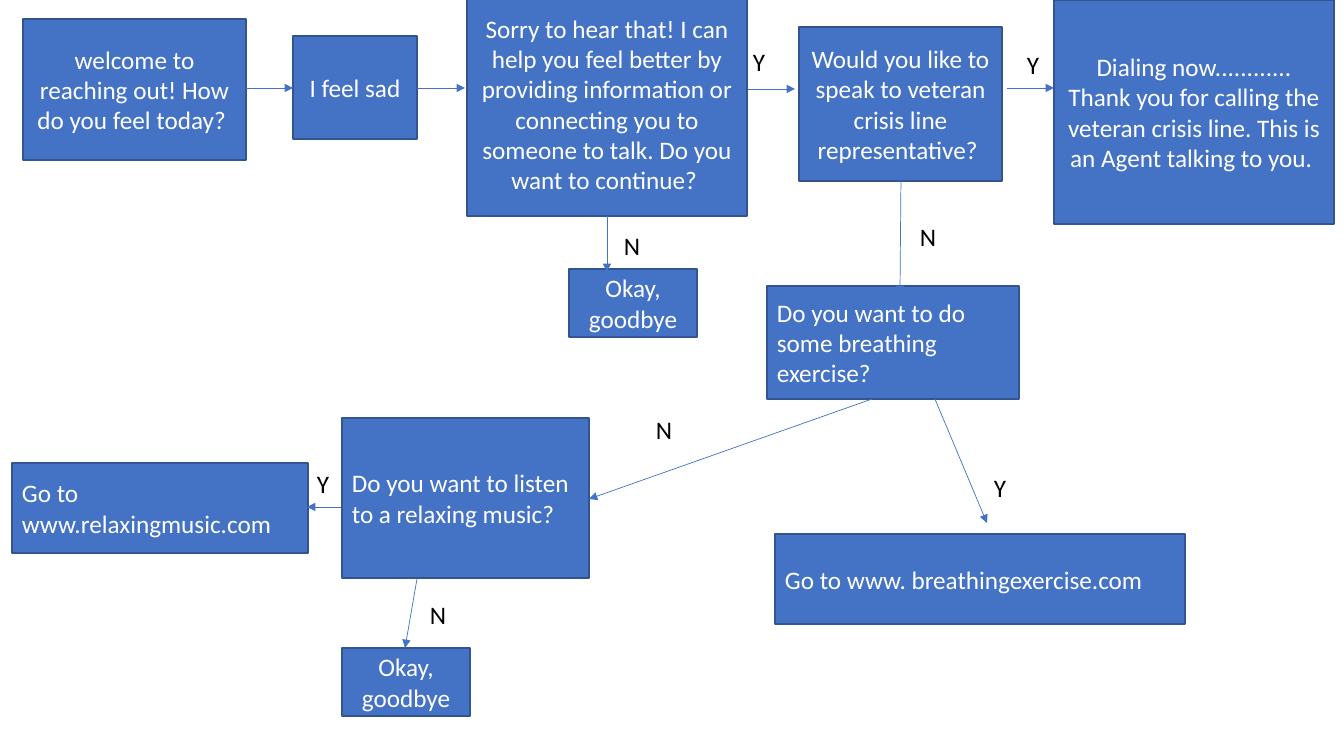
from pptx import Presentation
from pptx.dml.color import RGBColor
from pptx.enum.shapes import MSO_CONNECTOR, MSO_SHAPE
from pptx.enum.text import MSO_ANCHOR, MSO_AUTO_SIZE, PP_ALIGN
from pptx.oxml.ns import qn
from pptx.util import Pt
from lxml.etree import SubElement

BLUE = RGBColor(0x44, 0x72, 0xC4)
EDGE = RGBColor(0x32, 0x54, 0x91)
WHITE = RGBColor(255, 255, 255)
BLACK = RGBColor(0, 0, 0)
CENTER, LEFT = PP_ALIGN.CENTER, PP_ALIGN.LEFT
SCALE = 12192000 / 1344  # EMU per pixel

# Content: steps as (text, alignment, (left, top, width, height))
GOODBYE = "Okay, goodbye"
STEPS = [
    ("welcome to reaching out! How do you feel today? ", CENTER, (23, 19, 223, 141)),
    ("I feel sad", CENTER, (293, 36, 124, 103)),
    ("Sorry to hear that! I can help you feel better by providing information "
     "or connecting you to someone to talk. Do you want to continue? ",
     CENTER, (467, -8, 280, 224)),
    ("Would you like to speak to veteran crisis line representative? ",
     CENTER, (799, 27, 203, 154)),
    ("Dialing now............ Thank you for calling the veteran crisis line. "
     "This is an Agent talking to you. ", CENTER, (1054, 0, 280, 224)),
    (GOODBYE, CENTER, (569, 269, 128, 68)),
    ("Do you want to do some breathing exercise?", LEFT, (767, 286, 252, 113)),
    ("Do you want to listen to a relaxing music?", LEFT, (342, 418, 247, 160)),
    ("Go to www.relaxingmusic.com", LEFT, (12, 463, 296, 90)),
    ("Go to www. breathingexercise.com", LEFT, (775, 534, 410, 90)),
    (GOODBYE, CENTER, (342, 648, 128, 68)),
]
# Arrows as (from x, from y, to x, to y)
ARROWS = [
    (246, 88, 293, 88), (417, 88, 465, 88), (748, 89, 795, 89),
    (1007, 88, 1054, 88), (607, 216, 607, 272), (901, 181, 900, 294),
    (872, 399, 589, 499), (935, 399, 987, 523), (341, 507, 307, 507),
    (417, 579, 405, 648),
]
# Answers: (width, left-top corners) by letter
ANSWERS = {
    "Y": (32, [(743, 41), (1017, 44), (307, 463), (984, 467)]),
    "N": (36, [(614, 225), (910, 216), (646, 409), (420, 594)]),
}
ANSWER_HEIGHT = 40
FONT = {"name": "Calibri", "size": Pt(18)}


def emu(pixels):
    return [round(p * SCALE) for p in pixels]


def write(frame, text, color, align, frame_format):
    for key, value in frame_format.items():
        setattr(frame, key, value)
    paragraph = frame.paragraphs[0]
    paragraph.alignment = align
    run = paragraph.add_run()
    run.text = text
    for key, value in FONT.items():
        setattr(run.font, key, value)
    run.font.color.rgb = color


deck = Presentation()
deck.slide_width, deck.slide_height = emu((1344, 756))
slide = deck.slides.add_slide(deck.slide_layouts[6])
shapes = slide.shapes

# Steps of the conversation
for text, align, place in STEPS:
    step = shapes.add_shape(MSO_SHAPE.RECTANGLE, *emu(place))
    step.shadow.inherit = False
    step.fill.solid()
    step.fill.fore_color.rgb = BLUE
    step.line.color.rgb = EDGE
    step.line.width = Pt(1)
    write(step.text_frame, text, WHITE, align,
          {"word_wrap": True, "vertical_anchor": MSO_ANCHOR.MIDDLE})

# Arrows between steps
for ends in ARROWS:
    arrow = shapes.add_connector(MSO_CONNECTOR.STRAIGHT, *emu(ends))
    arrow.line.color.rgb = BLUE
    arrow.line.width = Pt(0.5)
    SubElement(arrow.line._get_or_add_ln(), qn("a:tailEnd"), type="triangle")
    SubElement(arrow._element.spPr, qn("a:effectLst"))

# Yes and no answers
for letter, (width, corners) in ANSWERS.items():
    for corner in corners:
        answer = shapes.add_textbox(*emu((*corner, width, ANSWER_HEIGHT)))
        write(answer.text_frame, letter, BLACK, LEFT,
              {"word_wrap": False, "auto_size": MSO_AUTO_SIZE.SHAPE_TO_FIT_TEXT})

deck.save("out.pptx")
